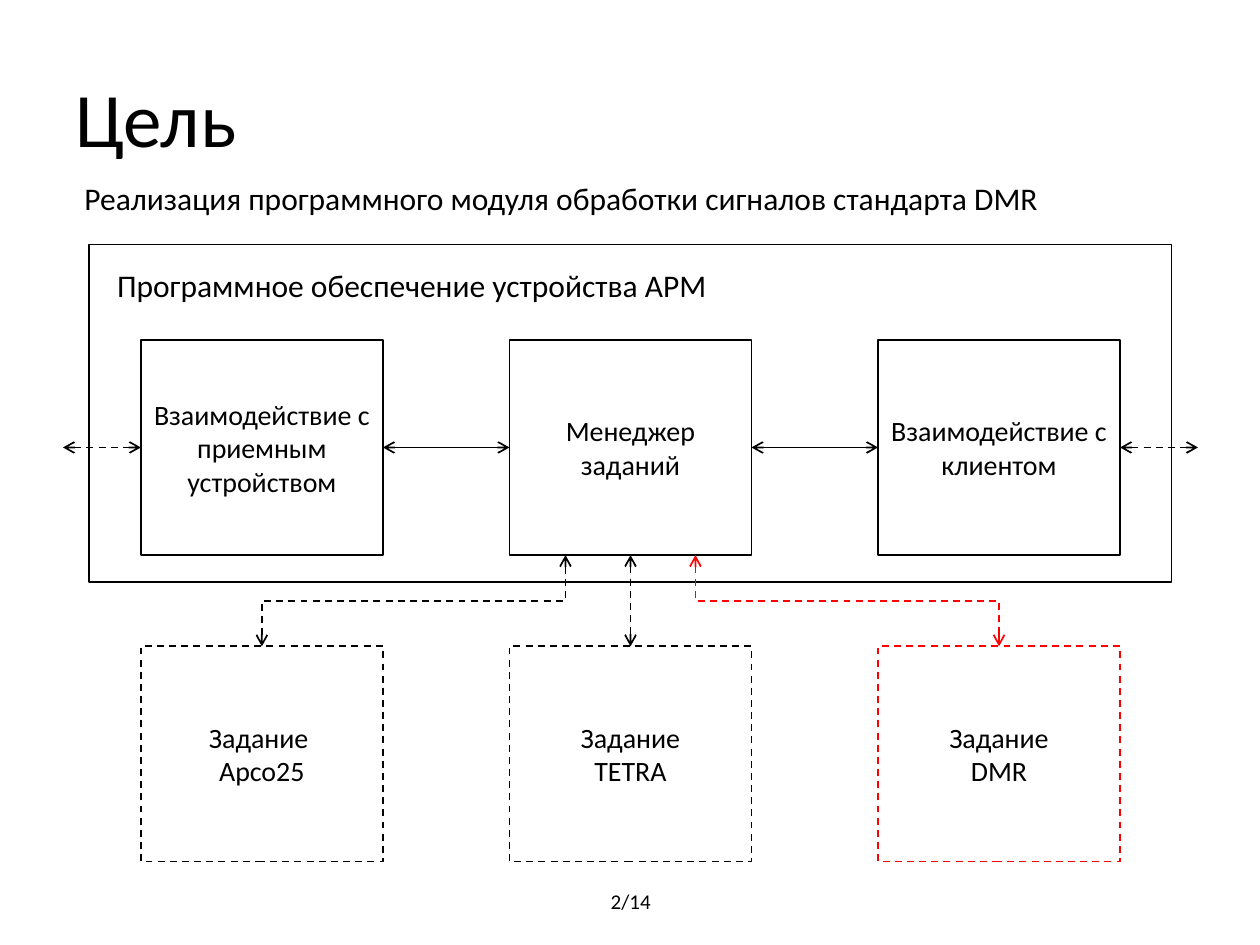
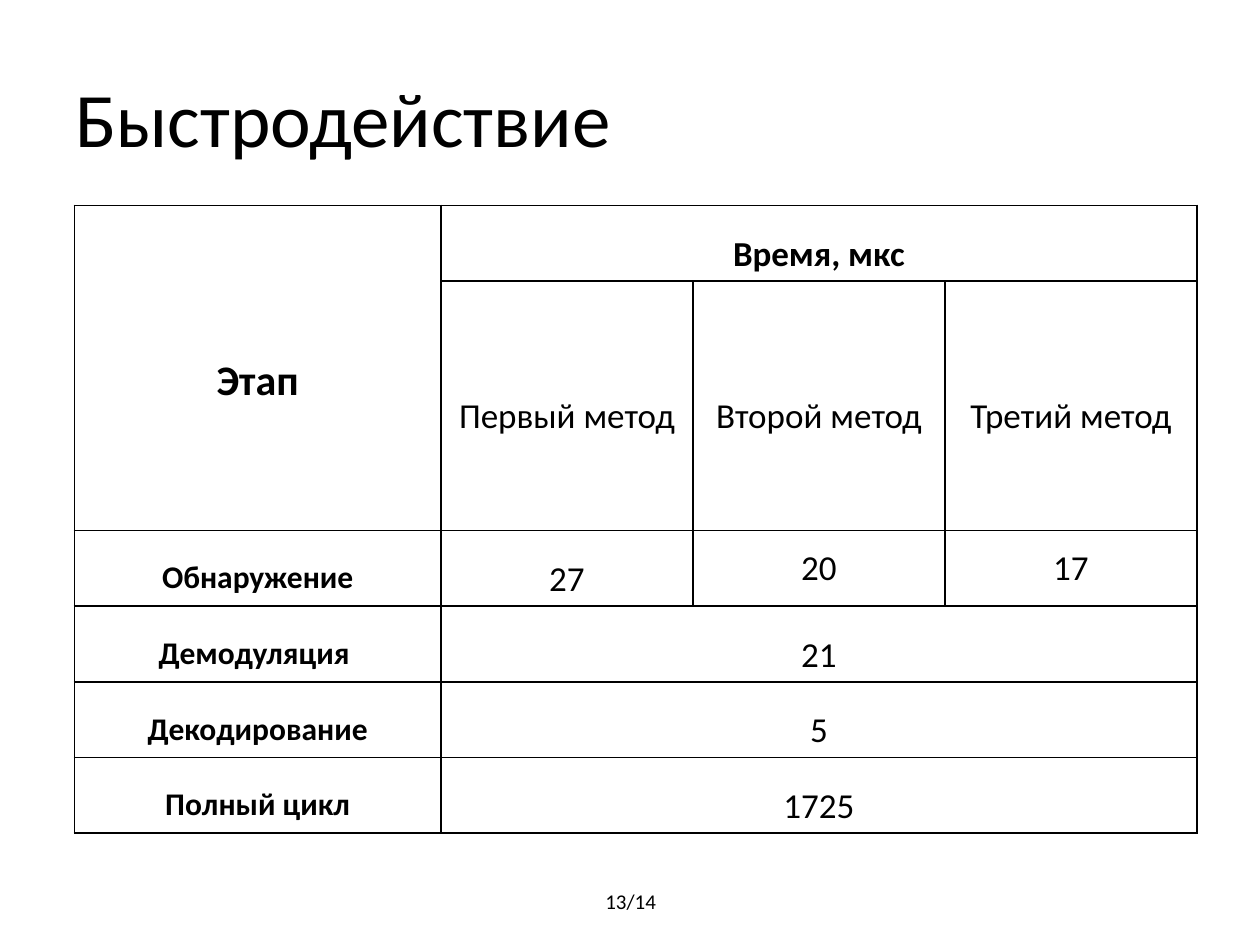
import pptx
import pptx.dml.color
import pptx.enum.dml
import pptx.enum.shapes
import pptx.enum.text
import pptx.oxml
import pptx.oxml.ns
import pptx.util
from pptx.util import Cm

BLACK, WHITE, RED = "000000", "FFFFFF", "FF0000"
ALIGN = pptx.enum.text.PP_ALIGN
ANCHOR = pptx.enum.text.MSO_ANCHOR
CONNECTOR = pptx.enum.shapes.MSO_CONNECTOR
RECTANGLE = pptx.enum.shapes.MSO_SHAPE.RECTANGLE


def colour(value):
    return pptx.dml.color.RGBColor.from_string(value)


def add_xml(parent, tag, **attributes):
    child = pptx.oxml.parse_xml(f"<a:{tag} {pptx.oxml.ns.nsdecls('a')}/>")
    for name, value in attributes.items():
        child.set(name, value)
    parent.append(child)
    return child


class Deck:
    font = "Calibri"
    line_width = 1
    page_count = 14

    def __init__(self):
        self.presentation = pptx.Presentation()
        self.presentation.slide_width = Cm(25.4)
        self.presentation.slide_height = Cm(19.05)
        self.slide = None

    def new_slide(self, title, page):
        self.slide = self.presentation.slides.add_slide(
            self.presentation.slide_layouts[6])
        self.label(title, 1.27, 0.76, 22.86, 3.18, 44)
        self.label(f"{page}/{self.page_count}", 8.69, 17.65, 8.05, 1.02, 12,
                   ALIGN.CENTER)

    def add_text(self, frame, text, size, align=ALIGN.LEFT, bold=False, spacing=1.0):
        for index, line in enumerate(text.split("\n")):
            paragraph = frame.add_paragraph() if index else frame.paragraphs[0]
            paragraph.alignment = align
            paragraph.line_spacing = spacing
            run = paragraph.add_run()
            run.text = line
            run.font.name = self.font
            run.font.size = pptx.util.Pt(size)
            run.font.bold = bold
            run.font.color.rgb = colour(BLACK)

    def label(self, text, left, top, width, height, size, align=ALIGN.LEFT):
        box = self.slide.shapes.add_textbox(Cm(left), Cm(top), Cm(width), Cm(height))
        box.text_frame.word_wrap = True
        box.text_frame.vertical_anchor = ANCHOR.MIDDLE
        self.add_text(box.text_frame, text, size, align)

    def style_line(self, line, line_colour, dashed):
        line.color.rgb = colour(line_colour)
        line.width = pptx.util.Pt(self.line_width)
        if dashed:
            line.dash_style = pptx.enum.dml.MSO_LINE.DASH

    def box(self, left, top, width, height, text="", line_colour=BLACK, dashed=False):
        block = self.slide.shapes.add_shape(
            RECTANGLE, Cm(left), Cm(top), Cm(width), Cm(height))
        block.shadow.inherit = False
        block.fill.solid()
        block.fill.fore_color.rgb = colour(WHITE)
        self.style_line(block.line, line_colour, dashed)
        if text:
            block.text_frame.word_wrap = True
            block.text_frame.vertical_anchor = ANCHOR.MIDDLE
            self.add_text(block.text_frame, text, 16, ALIGN.CENTER)

    def arrow(self, x1, y1, x2, y2, line_colour=BLACK, dashed=False,
              kind=CONNECTOR.STRAIGHT):
        link = self.slide.shapes.add_connector(kind, Cm(x1), Cm(y1), Cm(x2), Cm(y2))
        self.style_line(link.line, line_colour, dashed)
        properties = link._element.spPr
        outline = properties.find(pptx.oxml.ns.qn("a:ln"))
        add_xml(outline, "headEnd", type="arrow")
        add_xml(outline, "tailEnd", type="arrow")
        add_xml(properties, "effectLst")
        return link

    def vertical_elbow(self, x1, y1, x2, y2, line_colour=BLACK):
        """Elbow that leaves and arrives vertically: a quarter-turned elbow."""
        centre_x, centre_y = (x1 + x2) / 2, (y1 + y2) / 2
        half_rise, half_run = (y1 - y2) / 2, (x2 - x1) / 2
        link = self.arrow(centre_x - half_rise, centre_y - half_run,
                          centre_x + half_rise, centre_y + half_run,
                          line_colour, True, CONNECTOR.ELBOW)
        link._element.spPr.find(pptx.oxml.ns.qn("a:xfrm")).set("rot", "16200000")

    def table(self, left, top, widths, heights):
        grid = self.slide.shapes.add_table(
            len(heights), len(widths), Cm(left), Cm(top),
            Cm(sum(widths)), Cm(sum(heights))).table
        for column, width in zip(grid.columns, widths):
            column.width = Cm(width)
        for row, height in zip(grid.rows, heights):
            row.height = Cm(height)
        for cell in grid.iter_cells():
            self.style_cell(cell)
        return grid

    def style_cell(self, cell):
        cell.vertical_anchor = ANCHOR.MIDDLE
        properties = cell._tc.get_or_add_tcPr()
        for side in ("lnL", "lnR", "lnT", "lnB"):
            border = add_xml(properties, side, w=str(pptx.util.Pt(self.line_width)))
            add_xml(add_xml(border, "solidFill"), "srgbClr", val=BLACK)
        cell.fill.solid()
        cell.fill.fore_color.rgb = colour(WHITE)

    def fill_cell(self, cell, text, size=20, bold=False, spacing=1.5):
        self.add_text(cell.text_frame, text, size, ALIGN.CENTER, bold, spacing)


def goal_slide(deck):
    deck.new_slide("Цель", 2)

    # Device software
    deck.box(1.8, 4.93, 21.82, 6.81)
    deck.label("Программное обеспечение устройства АРМ", 2.11, 5.23, 13, 1.02, 18)

    # Modules above, tasks below, on three columns
    width, height, pitch = 4.88, 4.34, 7.43
    columns = [2.84 + pitch * i for i in range(3)]
    module_top, task_top = 6.85, 13.03
    modules = ["Взаимодействие с приемным устройством", "Менеджер заданий",
               "Взаимодействие с клиентом"]
    tasks = [("Задание \nApco25", BLACK), ("Задание\nTETRA", BLACK),
             ("Задание\nDMR", RED)]
    for left, module, (task, task_colour) in zip(columns, modules, tasks):
        deck.box(left, module_top, width, height, module)
        deck.box(left, task_top, width, height, task, task_colour, True)

    # Links between modules and to the outside
    middle = module_top + height / 2
    for left, following in zip(columns, columns[1:]):
        deck.arrow(left + width, middle, following, middle)
    outside = 1.57
    for start in (columns[0] - outside, columns[-1] + width):
        deck.arrow(start, middle, start + outside, middle, dashed=True)

    # Links from the manager to the tasks
    apco, tetra, dmr = [left + width / 2 for left in columns]
    module_bottom, port = module_top + height, 1.31
    deck.vertical_elbow(apco, task_top, tetra - port, module_bottom)
    deck.vertical_elbow(tetra + port, module_bottom, dmr, task_top, RED)
    deck.arrow(tetra, module_bottom, tetra, task_top, dashed=True)

    deck.label("Реализация программного модуля обработки сигналов стандарта DMR",
               1.45, 3.48, 20.5, 1.02, 18)


def speed_slide(deck):
    deck.new_slide("Быстродействие", 13)
    timing = deck.table(1.5, 4.14, [7.39] + [5.08] * 3, [1.5, 5.03] + [1.5] * 4)

    # Header
    timing.cell(0, 0).merge(timing.cell(1, 0))
    timing.cell(0, 1).merge(timing.cell(0, 3))
    deck.fill_cell(timing.cell(0, 0), "Этап", 24, True)
    deck.fill_cell(timing.cell(0, 1), "Время, мкс", bold=True)
    for column, method in enumerate(["Первый метод", "Второй метод", "Третий метод"], 1):
        deck.fill_cell(timing.cell(1, column), method)

    # Stages; a single time holds for all three methods
    stages = [("Обнаружение", ["27", "20", "17"]), ("Демодуляция ", ["21"]),
              ("Декодирование", ["5"]), ("Полный цикл", ["1725"])]
    for row, (stage, times) in enumerate(stages, 2):
        deck.fill_cell(timing.cell(row, 0), stage, 18, True)
        if len(times) == 1:
            timing.cell(row, 1).merge(timing.cell(row, 3))
        for column, time in enumerate(times, 1):
            deck.fill_cell(timing.cell(row, column), time,
                           spacing=1.5 if column == 1 else 1.0)


def main():
    deck = Deck()
    goal_slide(deck)
    speed_slide(deck)
    deck.presentation.save("out.pptx")


if __name__ == "__main__":
    main()
